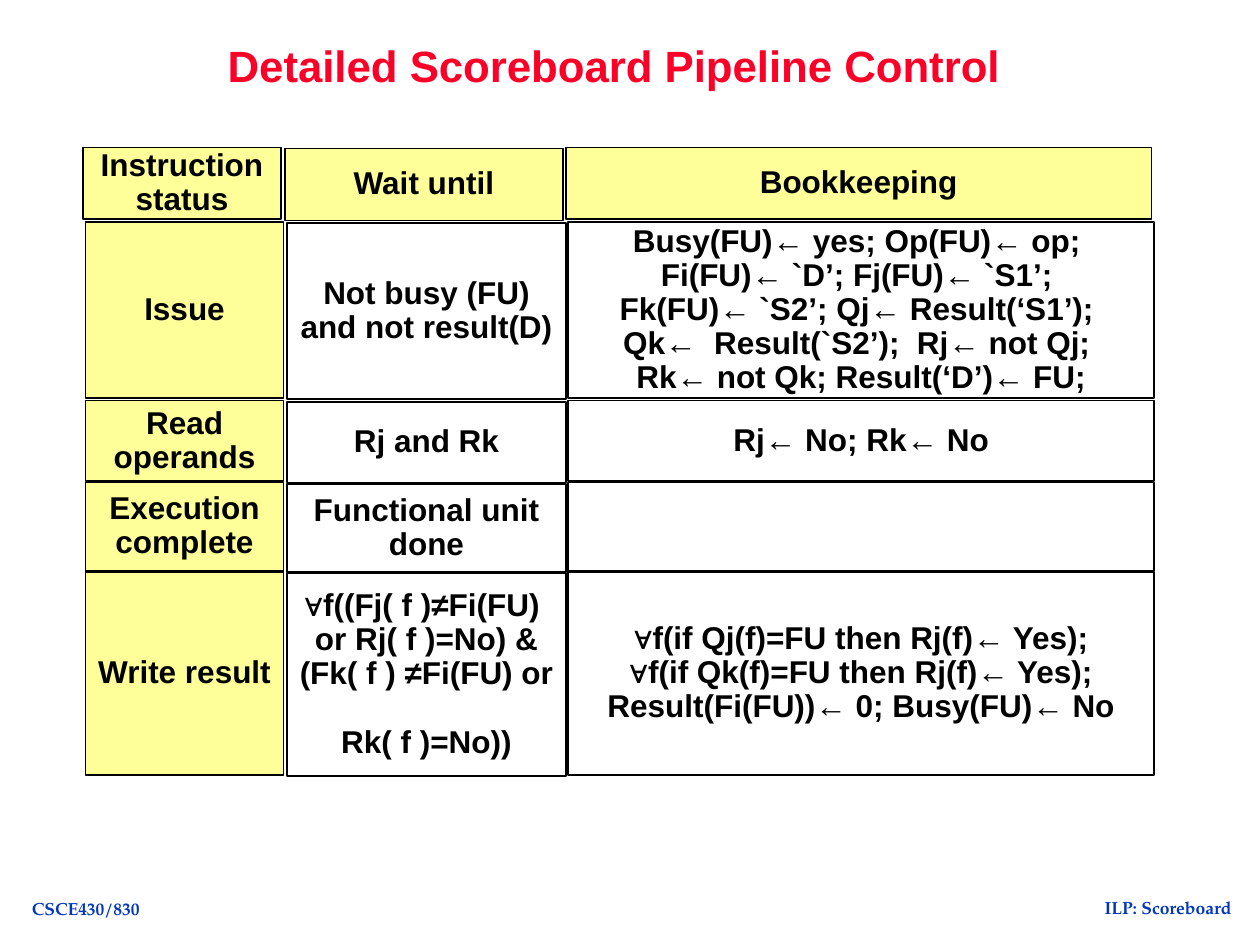
from pptx import Presentation
from pptx.dml.color import RGBColor
from pptx.enum.shapes import MSO_SHAPE as Shape
from pptx.enum.text import MSO_ANCHOR as Anchor, PP_ALIGN as Align
from pptx.util import Inches, Pt

BLACK = RGBColor(0x00, 0x00, 0x00)
WHITE = RGBColor(0xFF, 0xFF, 0xFF)
YELLOW = RGBColor(0xFF, 0xFF, 0x99)
RED = RGBColor(0xFC, 0x01, 0x28)
BLUE = RGBColor(0x02, 0x37, 0xBC)

# Left, width and downward shift of each column; top and height of each row
COLUMNS = [(0.68, 1.57, 0), (2.28, 2.21, 0.01), (4.51, 4.65, 0)]
ROWS = [(1.17, 0.57), (1.76, 1.4), (3.18, 0.64), (3.83, 0.7), (4.54, 1.61)]
HEADER_SHIFT = -0.02

CELLS = [
    ["Instruction status", "Wait until", "Bookkeeping"],
    ["Issue", "Not busy (FU) and not result(D)",
     "Busy(FU)← yes; Op(FU)← op; \n"
     "Fi(FU)← `D’; Fj(FU)← `S1’; \n"
     "Fk(FU)← `S2’; Qj← Result(‘S1’); \n"
     "Qk←  Result(`S2’);  Rj← not Qj; \n"
     "Rk← not Qk; Result(‘D’)← FU;"],
    ["Read operands", "Rj and Rk", "Rj← No; Rk← No"],
    ["Execution complete", "Functional unit done", ""],
    ["Write result",
     "∀f((Fj( f )≠Fi(FU) \n"
     "or Rj( f )=No) & (Fk( f ) ≠Fi(FU) or \n"
     "Rk( f )=No))",
     "∀f(if Qj(f)=FU then Rj(f)← Yes);\n"
     "∀f(if Qk(f)=FU then Rj(f)← Yes); "
     "Result(Fi(FU))← 0; Busy(FU)← No"],
]


def write(shape, text, size=18, color=BLACK, font="Arial", spacing=0.9,
          anchor=Anchor.MIDDLE, wrap=True):
    """Put bold centred text in a shape; newlines become line breaks."""
    frame = shape.text_frame
    frame.word_wrap = wrap
    frame.vertical_anchor = anchor
    para = frame.paragraphs[0]
    para.alignment = Align.CENTER
    para.line_spacing = spacing
    for index, line in enumerate(text.split("\n")):
        if index:
            para.add_line_break()
        span = para.add_run()
        span.text = line
        span.font.size = Pt(size)
        span.font.name = font
        span.font.bold = True
        span.font.color.rgb = color


def add_text(page, area, text, **style):
    box = page.shapes.add_textbox(*map(Inches, area))
    write(box, text, **style)


def add_cell(group, row, column, text):
    left, width, drop = COLUMNS[column]
    top, height = ROWS[row]
    if row == 0:
        left += HEADER_SHIFT
    area = map(Inches, (left, top + drop, width, height))
    cell = group.shapes.add_shape(Shape.RECTANGLE, *area)
    cell.shadow.inherit = False
    cell.fill.solid()
    cell.fill.fore_color.rgb = YELLOW if row == 0 or column == 0 else WHITE
    cell.line.color.rgb = BLACK
    cell.line.width = Pt(1)
    if text:
        write(cell, text)


def main():
    deck = Presentation()
    deck.slide_width, deck.slide_height = Inches(10), Inches(7.5)
    page = deck.slides.add_slide(deck.slide_layouts[6])

    footer = dict(size=10, color=BLUE, font="TeX Gyre Pagella", spacing=1.0,
                  anchor=Anchor.TOP, wrap=False)
    add_text(page, (8.61, 7.07, 1.32, 0.26), "ILP: Scoreboard", **footer)
    add_text(page, (0.15, 7.08, 1.06, 0.26), "CSCE430/830", **footer)
    add_text(page, (0.33, 0.17, 9.08, 0.75),
             "Detailed Scoreboard Pipeline Control", size=25, color=RED)

    group = page.shapes.add_group_shape()
    for row, texts in enumerate(CELLS):
        for column, text in enumerate(texts):
            add_cell(group, row, column, text)

    deck.save("out.pptx")


if __name__ == "__main__":
    main()
